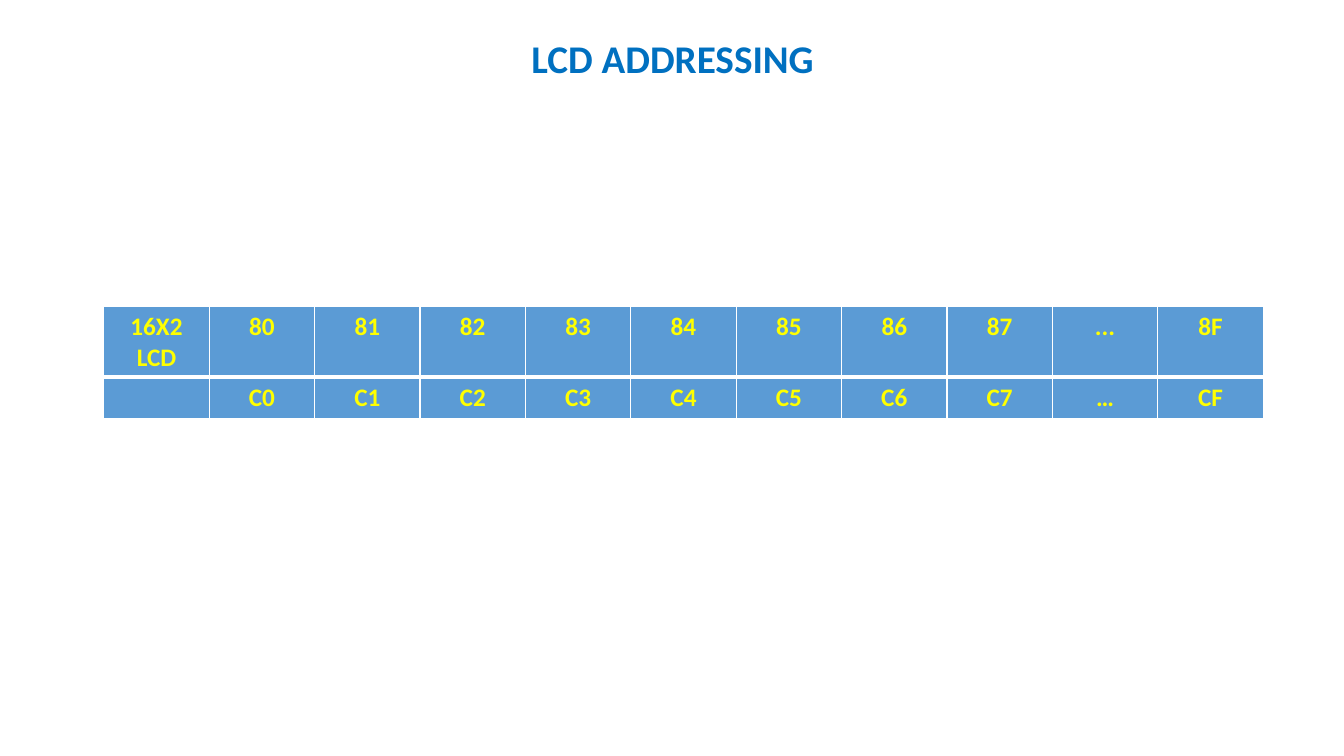
from lxml.etree import SubElement
from pptx import Presentation
from pptx.dml.color import RGBColor
from pptx.enum.text import MSO_ANCHOR as Anchor, PP_ALIGN as Align
from pptx.oxml.ns import qn
from pptx.util import Inches, Pt

WHITE, BLUE, TITLE_BLUE, YELLOW = "FFFFFF", "5B9BD5", "0070C0", "FFFF00"
ADDRESSES = [
    ["16X2 LCD", "80", "81", "82", "83", "84", "85", "86", "87", "...", "8F"],
    ["", "C0", "C1", "C2", "C3", "C4", "C5", "C6", "C7", "…", "CF"],
]
ROW_HEIGHTS = [0.7, 0.41]


def color(value):
    """Turn a hex string into a colour."""
    return RGBColor.from_string(value)


def write(frame, text, size, ink):
    """Write one centred bold line of text."""
    frame.text = text
    line = frame.paragraphs[0]
    line.alignment = Align.CENTER
    line.font.size = Pt(size)
    for run in line.runs:
        run.font.name = "Calibri"
        run.font.size = Pt(size)
        run.font.bold = True
        run.font.color.rgb = color(ink)
    return line


def add_borders(cell, widths):
    """Draw white cell borders with the given width in points per side."""
    properties = cell._tc.get_or_add_tcPr()
    for position, (side, width) in enumerate(widths.items()):
        border = SubElement(properties, qn(f"a:ln{side}"), w=str(Pt(width)))
        fill = SubElement(border, qn("a:solidFill"))
        SubElement(fill, qn("a:srgbClr"), val=WHITE)
        properties.insert(position, border)


def add_title(slide, left, top, width, height):
    """Place the slide heading in its box."""
    box = slide.shapes.add_textbox(Inches(left), Inches(top), Inches(width), Inches(height))
    heading = box.text_frame
    heading.word_wrap = True
    heading.vertical_anchor = Anchor.MIDDLE
    write(heading, "LCD ADDRESSING", 28, TITLE_BLUE).line_spacing = 0.9


def add_address_table(slide, left, top, width):
    """Place the table of display addresses with equal columns."""
    columns = len(ADDRESSES[0])
    table = slide.shapes.add_table(
        len(ADDRESSES), columns, Inches(left), Inches(top),
        Inches(width), Inches(sum(ROW_HEIGHTS))).table
    for column in table.columns:
        column.width = Inches(width / columns)
    for index, (addresses, height) in enumerate(zip(ADDRESSES, ROW_HEIGHTS)):
        table.rows[index].height = Inches(height)
        header = index == 0
        borders = {"L": 1, "R": 1, "T": 1 if header else 3, "B": 3 if header else 1}
        for cell, address in zip(table.rows[index].cells, addresses):
            cell.fill.solid()
            cell.fill.fore_color.rgb = color(BLUE)
            write(cell.text_frame, address, 18, YELLOW)
            add_borders(cell, borders)


def main():
    """Build and save the slide."""
    deck = Presentation()
    deck.slide_width, deck.slide_height = Inches(13.33), Inches(7.5)
    slide = deck.slides.add_slide(deck.slide_layouts[6])
    add_title(slide, 0.92, 0.1, 11.5, 1.01)
    add_address_table(slide, 1.03, 3.04, 11.5)
    deck.save("out.pptx")


if __name__ == "__main__":
    main()
